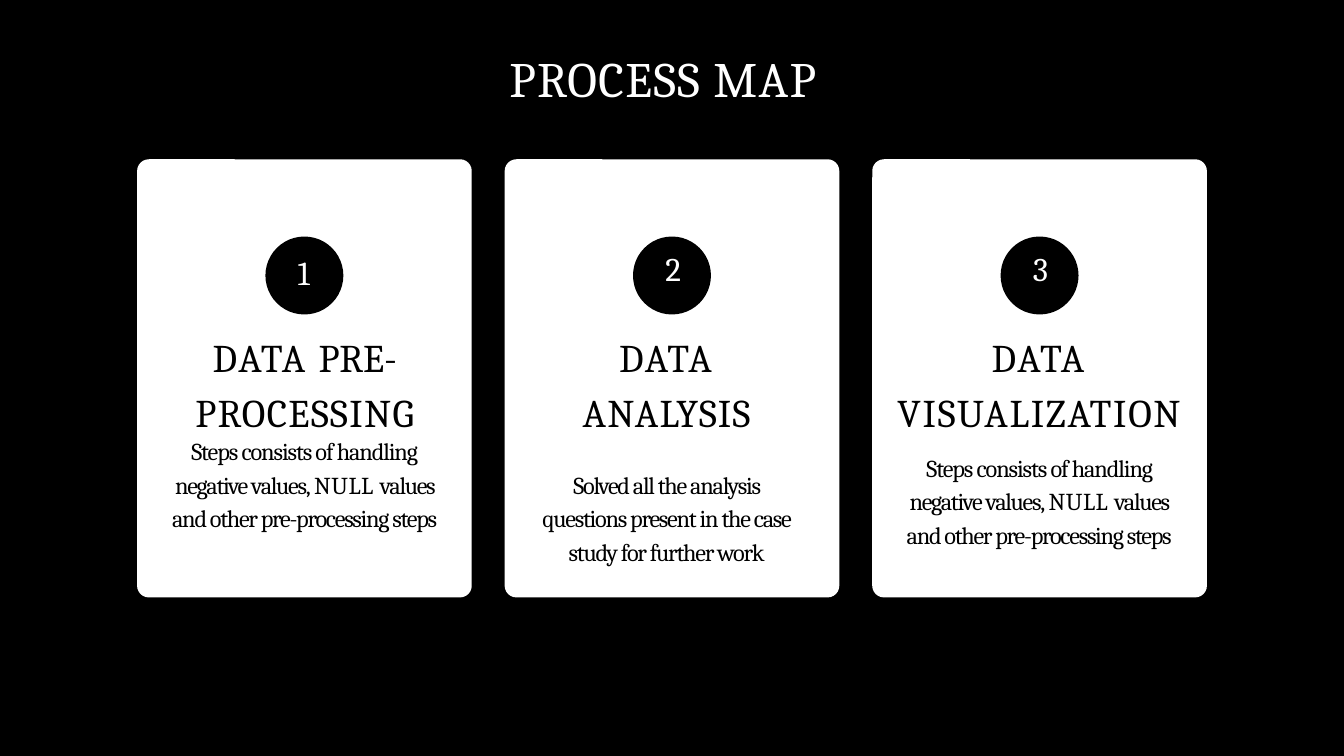
from pptx import Presentation
from pptx.dml.color import RGBColor
from pptx.enum import shapes, text
from pptx.util import Inches, Pt

BLACK, WHITE = "000000", "FFFFFF"
PITCH = 5.47
STEPS = "Steps consists of handling"
REST = [("negative values, ", -1.4), ("NULL ", 0.5),
        ("values and other pre-processing steps", -1.4)]
CARDS = [
    dict(mark=3.74, size=36, box=(2.47, 4.13, 3.61), pad=0.3,
         head=[("DATA ", 2.4), ("PRE- ", -0.2), ("PROCESSING", 1.5)],
         body=[(1.6, 1, 0, [(STEPS, -1.2)]), (0, 1.15, 0, REST)]),
    dict(mark=3.69, size=35.5, box=(7.9, 4.04, 3.61), pad=0.5,
         head=[("DATA ", 2.4), ("ANALYSIS", 1.3)],
         body=[(32.8, 1.15, 0, [("Solved all the analysis questions present "
                                 "in the case study for further work", -1.35)])]),
    dict(mark=3.69, size=35.5, box=(13.26, 4.41, 3.86), pad=0,
         head=[("DATA ", 2.4), ("VISUALIZATION", 1.85)],
         body=[(14.8, 1.15, 0.13, [(STEPS + " ", -1.2)] + REST)]),
]


def color(code):
    """Return the colour for a hex string."""
    return RGBColor.from_string(code)


def panel(slide, kind, box, fill):
    """Add a plain filled shape."""
    item = slide.shapes.add_shape(kind, *map(Inches, box))
    item.shadow.inherit = False
    item.fill.solid()
    item.fill.fore_color.rgb = color(fill)
    item.line.fill.background()
    return item


def frame(item, wrap=True):
    """Strip the margins of a text shape and return its frame."""
    tf = item.text_frame
    tf.margin_left = tf.margin_right = tf.margin_bottom = 0
    tf.margin_top = Inches(0.01)
    tf.vertical_anchor = text.MSO_ANCHOR.TOP
    tf.auto_size = text.MSO_AUTO_SIZE.NONE
    tf.word_wrap = wrap
    return tf


def write(par, runs, size, ink, align, before=1, line=1, pad=0):
    """Fill a paragraph with runs of text and letter spacing."""
    par.font.size, par.font.name = Pt(size), "Cambria"
    par.font.color.rgb = color(ink)
    par.alignment = align
    par.space_before, par.line_spacing = Pt(before), line
    props = par._p.get_or_add_pPr()
    for side in ("marL", "marR"):
        props.set(side, str(Inches(pad)))
    for words, gap in runs:
        run = par.add_run()
        run.text = words
        run._r.get_or_add_rPr().set("spc", str(round(gap * 100)))


def title(slide):
    """Place and fill the slide title."""
    item = slide.shapes.title
    item.left, item.top, item.width, item.height = map(Inches, (7.58, 0.71, 4.82, 0.91))
    write(frame(item).paragraphs[0], [("PROCESS MAP", 1.5)], 53, WHITE,
          text.PP_ALIGN.LEFT)


def card(slide, index, mark, size, box, pad, head, body):
    """Draw one numbered step of the process."""
    left = 2.04 + index * PITCH
    kinds = shapes.MSO_SHAPE
    base = panel(slide, kinds.ROUNDED_RECTANGLE, (left, 2.37, 4.98, 6.52), WHITE)
    base.adjustments[0] = 0.035
    panel(slide, kinds.OVAL, (left + 1.91, 3.52, 1.16, 1.16), BLACK)
    label = slide.shapes.add_textbox(*map(Inches, (left + 2.39, mark, 0.22, 0.62)))
    write(frame(label, False).paragraphs[0], [(str(index + 1), 0)], size, WHITE,
          text.PP_ALIGN.LEFT)

    x, width, height = box
    copy = frame(slide.shapes.add_textbox(*map(Inches, (x, 4.84, width, height))))
    mid = text.PP_ALIGN.CENTER
    write(copy.paragraphs[0], head, 42, BLACK, mid, 0.9, 1.16, pad)
    for before, line, inset, runs in body:
        write(copy.add_paragraph(), runs, 26, BLACK, mid, before, line, inset)


def main():
    """Build and save the slide."""
    deck = Presentation()
    deck.slide_width, deck.slide_height = Inches(20), Inches(11.25)
    slide = deck.slides.add_slide(deck.slide_layouts[5])
    fill = slide.background.fill
    fill.solid()
    fill.fore_color.rgb = color(BLACK)
    title(slide)
    for index, data in enumerate(CARDS):
        card(slide, index, **data)
    deck.save("out.pptx")


if __name__ == "__main__":
    main()
